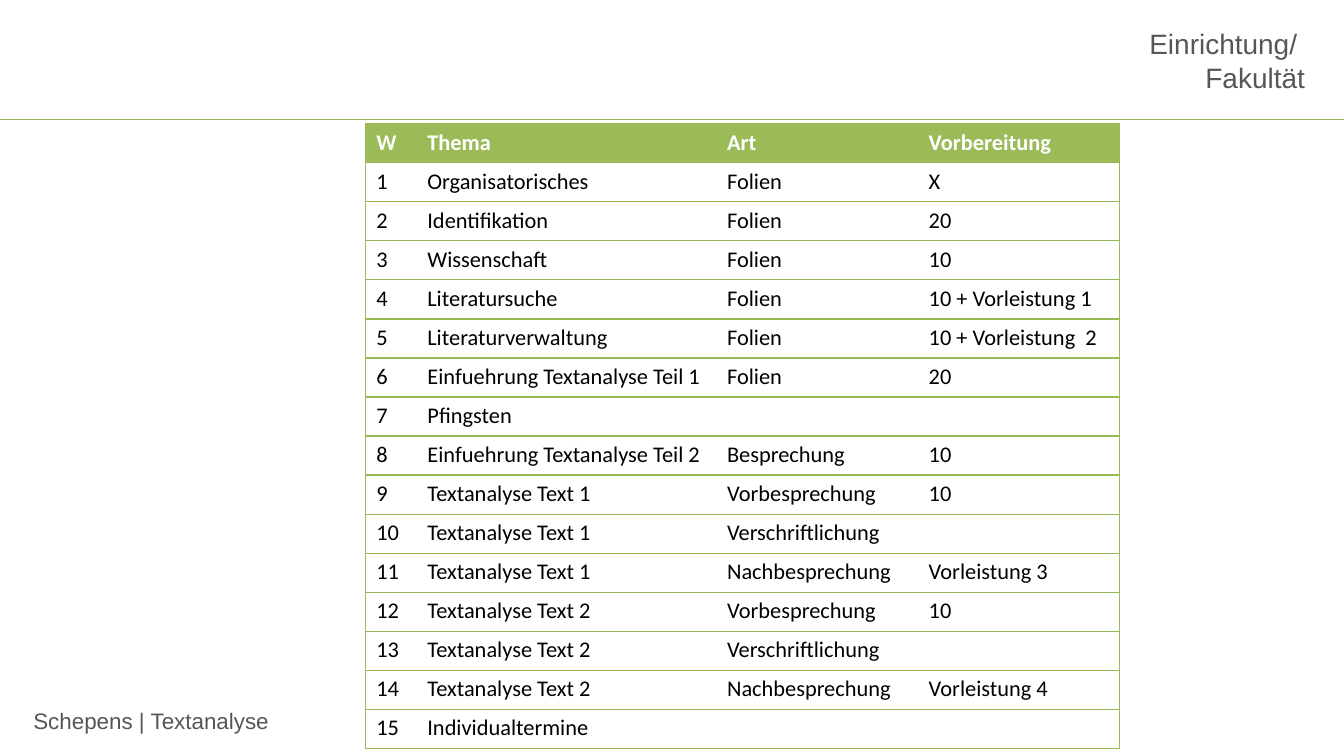
from lxml.etree import SubElement
from pptx import Presentation
from pptx.dml.color import RGBColor
from pptx.enum.shapes import MSO_CONNECTOR
from pptx.enum.text import MSO_ANCHOR, PP_ALIGN
from pptx.oxml.ns import qn
from pptx.util import Inches, Pt

GREEN = RGBColor(0x98, 0xB9, 0x55)
HEAD_GREEN = RGBColor(0x9B, 0xBB, 0x59)
GREY = RGBColor(0x56, 0x56, 0x56)
WHITE = RGBColor(0xFF, 0xFF, 0xFF)
BLACK = RGBColor(0, 0, 0)

COLS = [0.38, 2.23, 1.5, 1.5]
TABLE_H = 4.65
ROWS = [
    ("W", "Thema", "Art", "Vorbereitung"),
    ("1", "Organisatorisches", "Folien", "X"),
    ("2", "Identifikation", "Folien", "20"),
    ("3", "Wissenschaft", "Folien", "10"),
    ("4", "Literatursuche", "Folien", "10 + Vorleistung 1"),
    ("5", "Literaturverwaltung", "Folien", "10 + Vorleistung  2"),
    ("6", "Einfuehrung Textanalyse Teil 1", "Folien", "20"),
    ("7", "Pfingsten", "", ""),
    ("8", "Einfuehrung Textanalyse Teil 2", "Besprechung", "10"),
    ("9", "Textanalyse Text 1", "Vorbesprechung", "10"),
    ("10", "Textanalyse Text 1", "Verschriftlichung", ""),
    ("11", "Textanalyse Text 1", "Nachbesprechung", "Vorleistung 3"),
    ("12", "Textanalyse Text 2", "Vorbesprechung", "10"),
    ("13", "Textanalyse Text 2", "Verschriftlichung", ""),
    ("14", "Textanalyse Text 2", "Nachbesprechung", "Vorleistung 4"),
    ("15", "Individualtermine", "", ""),
]


def format_text(tf, size, font, color, bold=False, align=None):
    for p in tf.paragraphs:
        p.alignment = align
        for r in p.runs:
            r.font.size, r.font.name, r.font.bold = Pt(size), font, bold
            r.font.color.rgb = color


def set_borders(cell, visible):
    tc_pr = cell._tc.get_or_add_tcPr()
    for side in "LRTB":
        ln = SubElement(tc_pr, qn(f"a:ln{side}"), w=str(Pt(0.75)))
        if side in visible:
            fill = SubElement(ln, qn("a:solidFill"))
            SubElement(fill, qn("a:srgbClr"), val=str(GREEN))
        else:
            SubElement(ln, qn("a:noFill"))


prs = Presentation()
prs.slide_width = Inches(10)
prs.slide_height = prs.slide_width * 9 // 16
s = prs.slides.add_slide(prs.slide_layouts[6])

rule = s.shapes.add_connector(
    MSO_CONNECTOR.STRAIGHT, 0, Inches(0.89), Inches(10.05), Inches(0.89))
rule.line.color.rgb = GREEN
rule.line.width = Pt(0.75)
SubElement(rule._element.spPr, qn("a:effectLst"))

footer = s.shapes.add_textbox(Inches(0.15), Inches(5.21), Inches(3.34), Inches(0.28))
tf = footer.text_frame
tf.word_wrap = True
tf.text = "Schepens | Textanalyse"
format_text(tf, 12, "Arial", GREY)

faculty = s.shapes.add_textbox(Inches(5.38), Inches(0.2), Inches(4.33), Inches(0.5))
tf = faculty.text_frame
tf.word_wrap = True
tf.vertical_anchor = MSO_ANCHOR.BOTTOM
tf.margin_left = tf.margin_right = tf.margin_top = tf.margin_bottom = 0
tf.text = "Einrichtung/ \nFakultät"
format_text(tf, 15, "Arial", GREY, align=PP_ALIGN.RIGHT)

table = s.shapes.add_table(
    len(ROWS), len(COLS), Inches(2.72), Inches(0.92),
    Inches(sum(COLS)), Inches(TABLE_H)).table
table.horz_banding = False
for column, width in zip(table.columns, COLS):
    column.width = Inches(width)

for i, row in enumerate(ROWS):
    table.rows[i].height = Inches(TABLE_H / len(ROWS))
    for j, text in enumerate(row):
        cell = table.cell(i, j)
        cell.margin_left = cell.margin_right = Inches(0.08)
        cell.margin_top = cell.margin_bottom = Inches(0.04)
        set_borders(cell, "TB" + {0: "L", len(COLS) - 1: "R"}.get(j, ""))
        if i == 0:
            cell.fill.solid()
            cell.fill.fore_color.rgb = HEAD_GREEN
        else:
            cell.fill.background()
        tf = cell.text_frame
        tf.text = text
        format_text(tf, 12, "Calibri", BLACK if i else WHITE, bold=i == 0)
        if not text:
            SubElement(tf.paragraphs[0]._p, qn("a:endParaRPr"), sz="1200")

prs.save("out.pptx")
